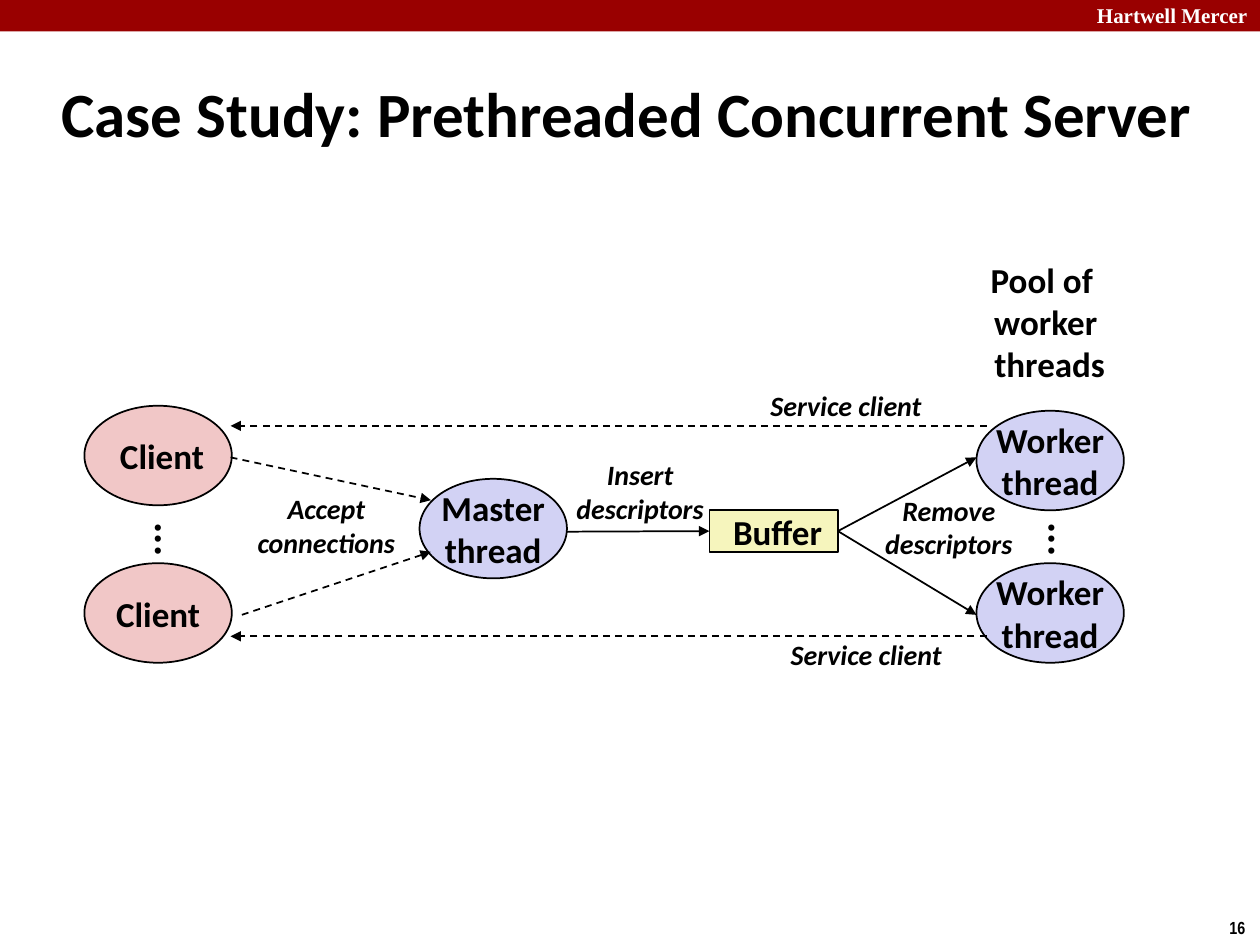
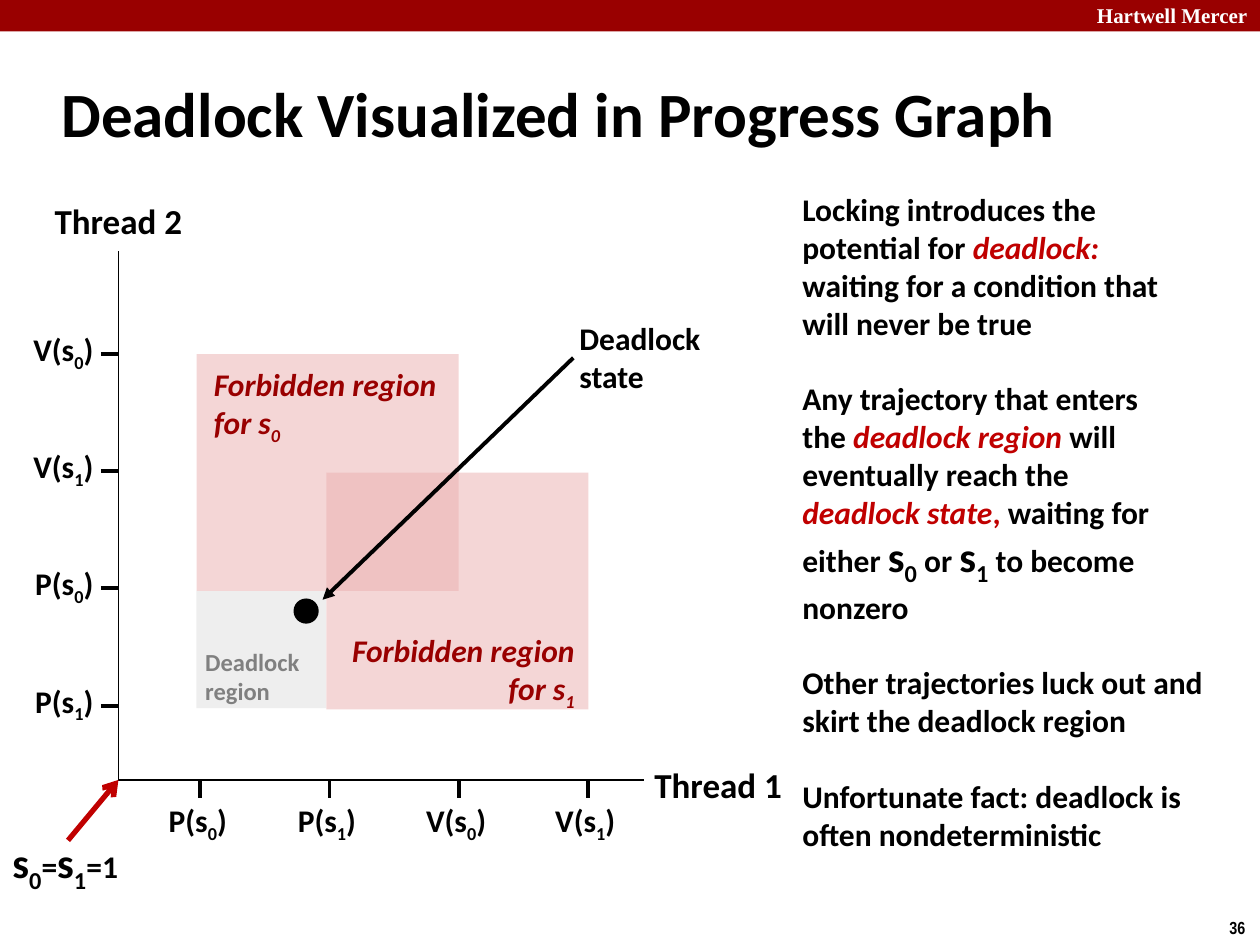
from dataclasses import dataclass
from typing import NamedTuple, Optional

from lxml.etree import SubElement
from pptx import Presentation
from pptx.dml.color import RGBColor
from pptx.enum.dml import MSO_LINE_DASH_STYLE as Dash
from pptx.enum.shapes import MSO_CONNECTOR as Link, MSO_SHAPE as Form
from pptx.enum.text import MSO_ANCHOR as Anchor, PP_ALIGN as Align
from pptx.oxml.ns import qn
from pptx.util import Emu, Inches, Pt


# Theme: every colour, font and type size
@dataclass(frozen=True)
class Theme:
    font: str = "Calibri"
    banner_font: str = "Times New Roman"
    number_font: str = "Arial Narrow"
    ink: str = "000000"
    paper: str = "FFFFFF"
    crimson: str = "990000"
    accent: str = "C00000"
    client: str = "F1C7C7"
    thread: str = "D2D2F4"
    buffer: str = "F6F5BD"
    forbidden: str = "EBAFAF"
    deadlock: str = "CCCCCC"
    muted: str = "808080"
    title: int = 36
    big: int = 24
    node: int = 20
    body: int = 18
    note: int = 16
    small: int = 14
    banner: int = 12
    number: int = 10
    thin: float = 1
    medium: float = 2.25
    thick: float = 3


THEME = Theme()

# Grid: 100 columns by 75 rows
WIDTH, HEIGHT = Inches(10), Inches(7.5)
COLUMNS, ROWS = 100, 75


def col(n: float) -> Emu:
    return Emu(round(WIDTH * n / COLUMNS))


def row(n: float) -> Emu:
    return Emu(round(HEIGHT * n / ROWS))


class Box(NamedTuple):
    left: float
    top: float
    width: float
    height: float

    def place(self) -> tuple:
        return col(self.left), row(self.top), col(self.width), row(self.height)


class Run(NamedTuple):
    text: str
    format: dict = {}
    color: Optional[str] = None
    lowered: bool = False


@dataclass
class Label:
    box: Box
    lines: list
    size: float = THEME.body
    color: str = THEME.ink
    font: str = THEME.font
    italic: bool = False
    align: Align = Align.LEFT
    anchor: Anchor = Anchor.MIDDLE
    wrap: bool = False
    flush: bool = False
    vertical: bool = False
    gap_before: tuple = ()


@dataclass
class Figure:
    box: Box
    fill: str
    form: Form = Form.RECTANGLE
    opacity: Optional[int] = None
    outlined: bool = False
    lines: tuple = ()


@dataclass
class Stroke:
    start: tuple
    end: tuple
    width: float = THEME.thin
    color: str = THEME.ink
    dashed: bool = False
    tip: Optional[str] = None


def subscripted(text: str, **format) -> list:
    """Lower the character that follows each underscore."""
    first, *rest = text.split("_")
    runs = [Run(first, format)]
    for part in rest:
        runs.append(Run(part[0], format, lowered=True))
        if part[1:]:
            runs.append(Run(part[1:], format))
    return runs


def write(shape, label: Label) -> None:
    frame = shape.text_frame
    settings = {"word_wrap": label.wrap, "vertical_anchor": label.anchor}
    if label.flush:
        settings |= {"margin_top": 0, "margin_bottom": 0}
    for name, value in settings.items():
        setattr(frame, name, value)
    if label.vertical:
        shape.element.txBody.bodyPr.set("vert", "eaVert")
    for i, line in enumerate(label.lines):
        paragraph = frame.add_paragraph() if i else frame.paragraphs[0]
        paragraph.alignment = label.align
        if i in label.gap_before:
            paragraph.space_before = Pt(label.size * 1.2)
        for part in [Run(line)] if isinstance(line, str) else line:
            run = paragraph.add_run()
            run.text = part.text
            look = {"name": label.font, "size": Pt(label.size), "bold": True,
                    "italic": label.italic} | part.format
            for name, value in look.items():
                setattr(run.font, name, value)
            run.font.color.rgb = RGBColor.from_string(part.color or label.color)
            if part.lowered:
                run._r.get_or_add_rPr().set("baseline", "-25000")


def add_label(slide, label: Label) -> None:
    write(slide.shapes.add_textbox(*label.box.place()), label)


def add_figure(slide, figure: Figure):
    shape = slide.shapes.add_shape(figure.form, *figure.box.place())
    shape.shadow.inherit = False
    shape.fill.solid()
    shape.fill.fore_color.rgb = RGBColor.from_string(figure.fill)
    if figure.opacity is not None:
        tint = shape.element.spPr.find(f"{qn('a:solidFill')}/{qn('a:srgbClr')}")
        SubElement(tint, qn("a:alpha"), val=str(figure.opacity * 1000))
    if figure.outlined:
        shape.line.color.rgb = RGBColor.from_string(THEME.ink)
        shape.line.width = Pt(THEME.thin)
    else:
        shape.line.fill.background()
    if figure.lines:
        write(shape, Label(figure.box, figure.lines, THEME.node,
                           align=Align.CENTER, flush=True))
    return shape


def add_stroke(slide, stroke: Stroke):
    (x1, y1), (x2, y2) = stroke.start, stroke.end
    line = slide.shapes.add_connector(Link.STRAIGHT, col(x1), row(y1), col(x2), row(y2))
    line.line.color.rgb = RGBColor.from_string(stroke.color)
    line.line.width = Pt(stroke.width)
    if stroke.dashed:
        line.line.dash_style = Dash.DASH
    if stroke.tip:
        SubElement(line.line._get_or_add_ln(), qn("a:tailEnd"), type=stroke.tip)
    SubElement(line.element.spPr, qn("a:effectLst"))
    return line


def start_slide(deck, title: str, number: int):
    """Blank slide with the shared band, banner, page number and title."""
    slide = deck.slides.add_slide(deck.slide_layouts[6])
    add_figure(slide, Figure(Box(0, 0, COLUMNS, 2.5), THEME.crimson))
    for label in (
        Label(Box(75, -0.3, 25, 3), ["Hartwell Mercer"], THEME.banner, THEME.paper,
              THEME.banner_font, align=Align.RIGHT, anchor=Anchor.TOP, wrap=True),
        Label(Box(96.6, 72.3, 3.4, 2.7), [str(number)], THEME.number,
              font=THEME.number_font, anchor=Anchor.TOP),
        Label(Box(3.9, 4.8, 93.6, 8.3), [title], THEME.title, wrap=True),
    ):
        add_label(slide, label)
    return slide


def build_server_slide(deck) -> None:
    slide = start_slide(deck, "Case Study: Prethreaded Concurrent Server", 16)

    # Clients, threads and the buffer between them
    buffer = add_figure(slide, Figure(Box(56.3, 40.5, 10.2, 3.3), THEME.buffer,
                                      outlined=True, lines=(" Buffer",)))
    for left, top, fill, lines in (
        (33.3, 38, THEME.thread, ("Master", "thread")),
        (77.5, 32.6, THEME.thread, ("Worker", "thread")),
        (77.5, 44.7, THEME.thread, ("Worker", "thread")),
        (6.7, 32.2, THEME.client, (" Client",)),
        (6.7, 44.7, THEME.client, ("Client",)),
    ):
        add_figure(slide, Figure(Box(left, top, 11.7, 7.9), fill, Form.OVAL,
                                 outlined=True, lines=lines))

    # Descriptors pass through the buffer
    insert = add_stroke(slide, Stroke((45, 42.2), (56.3, 42.2), tip="triangle"))
    insert.end_connect(buffer, 1)
    for worker_row in (36.3, 48.8):
        remove = add_stroke(slide, Stroke((66.5, 42.2), (77.5, worker_row), tip="triangle"))
        remove.begin_connect(buffer, 3)

    # Connections go to the master, service comes back from the workers
    for start, end in (((18.3, 36.3), (34.2, 39.7)), ((19.2, 48.8), (34.2, 43.8)),
                       ((78.3, 33.8), (18.3, 33.8)), ((78.3, 50.5), (18.3, 50.5))):
        add_stroke(slide, Stroke(start, end, dashed=True, tip="triangle"))

    # Captions
    for box, lines in (
        (Box(19.1, 38.5, 13.6, 6.4), ["Accept", "connections"]),
        (Box(44.4, 35.8, 12.8, 6.4), ["Insert", "descriptors"]),
        (Box(68.9, 38.6, 12.8, 6.4), ["Remove", "descriptors"]),
        (Box(59.8, 30.3, 14.7, 3.7), ["Service client"]),
        (Box(61.4, 50.1, 14.7, 3.7), ["Service client"]),
    ):
        add_label(slide, Label(box, lines, THEME.note, italic=True, align=Align.CENTER))
    for left in (10.6, 81.5):
        add_label(slide, Label(Box(left, 40.5, 6.1, 3.7), ["..."], THEME.big, vertical=True))
    add_label(slide, Label(Box(77.2, 20, 11.6, 11.1), ["Pool of ", "worker", " threads"],
                           THEME.node, align=Align.CENTER))


def build_deadlock_slide(deck) -> None:
    slide = start_slide(deck, "Deadlock Visualized in Progress Graph", 36)
    big = {"size": Pt(THEME.big)}

    def stressed(text: str) -> Run:
        return Run(text, {"italic": True}, THEME.accent)

    # Explanation
    add_label(slide, Label(Box(62.7, 15.1, 34, 54.1), [
        "Locking introduces the",
        [Run("potential for "), stressed("deadlock:")],
        "waiting for a condition that will never be true",
        "Any trajectory that enters",
        [Run("the "), stressed("deadlock region "), Run("will")],
        "eventually reach the",
        [stressed("deadlock state"), Run(", ", color=THEME.accent), Run("waiting for either "),
         *subscripted("s_0", **big), Run(" or "), *subscripted("s_1", **big),
         Run(" to become nonzero")],
        "Other trajectories luck out and skirt the deadlock region",
        "Unfortunate fact: deadlock is often nondeterministic",
    ], anchor=Anchor.TOP, wrap=True, flush=True, gap_before=(3, 7, 8)))

    # Axes
    origin = (9.4, 61.9)
    for end, name, box in (((51.1, 61.9), "Thread 1", Box(50.9, 60.1, 12.2, 4.4)),
                           ((9.4, 19.9), "Thread 2", Box(3.3, 15.3, 12.2, 4.4))):
        add_stroke(slide, Stroke(origin, end))
        add_label(slide, Label(box, [name], THEME.node, align=Align.CENTER))

    # Ticks and their operations, at equal steps along each axis
    tick, name_width, name_height = 1.4, 7, 4
    for i, operation in enumerate(("P(s_0)", "P(s_1)", "V(s_0)", "V(s_1)")):
        x = 15.9 + 10.25 * i
        add_stroke(slide, Stroke((x, origin[1]), (x, origin[1] + tick), THEME.medium))
        add_label(slide, Label(Box(x - name_width / 2 - 0.2, 63.3, name_width, name_height),
                               [subscripted(operation)], align=Align.CENTER))
    for i, operation in enumerate(("V(s_0)", "V(s_1)", "P(s_0)", "P(s_1)")):
        y = 28.1 + 9.3 * i
        add_stroke(slide, Stroke((origin[0] - tick, y), (origin[0], y), THEME.medium))
        add_label(slide, Label(Box(1.4, y - 2.2, name_width, name_height),
                               [subscripted(operation)], align=Align.RIGHT))

    # Regions
    add_figure(slide, Figure(Box(15.6, 46.9, 10.3, 9.3), THEME.deadlock, opacity=32))
    for i in range(2):
        add_figure(slide, Figure(Box(15.6 + 10.3 * i, 28.1 + 9.4 * i, 20.8, 18.8),
                                 THEME.forbidden, opacity=50))
    for box, semaphore, align in ((Box(16, 28.5, 20.6, 7.1), "s_0", Align.LEFT),
                                  (Box(26.1, 49.6, 20.5, 7.1), "s_1", Align.RIGHT)):
        add_label(slide, Label(box, ["Forbidden region", subscripted(f"for {semaphore}")],
                               color=THEME.crimson, italic=True, align=align,
                               anchor=Anchor.TOP))
    add_label(slide, Label(Box(15.3, 51.3, 9.6, 4.7), ["Deadlock", "region"], THEME.small,
                           THEME.muted, flush=True))

    # Deadlock state
    add_figure(slide, Figure(Box(23.3, 47.5, 2, 2), THEME.ink, Form.OVAL))
    add_label(slide, Label(Box(45, 25.3, 11.7, 6.1), ["Deadlock", "state"], flush=True))
    add_stroke(slide, Stroke((45.5, 28.4), (25.6, 47.6), THEME.medium, tip="triangle"))

    # Initial state
    add_label(slide, Label(Box(0, 66.7, 10.8, 4), [
        [*subscripted("s_0", **big), Run("="), *subscripted("s_1", **big), Run("=1")],
    ], flush=True))
    add_stroke(slide, Stroke((5.4, 66.7), origin, THEME.thick, THEME.accent, tip="arrow"))


def main() -> None:
    deck = Presentation()
    deck.slide_width, deck.slide_height = WIDTH, HEIGHT
    build_server_slide(deck)
    build_deadlock_slide(deck)
    deck.save("out.pptx")


if __name__ == "__main__":
    main()
